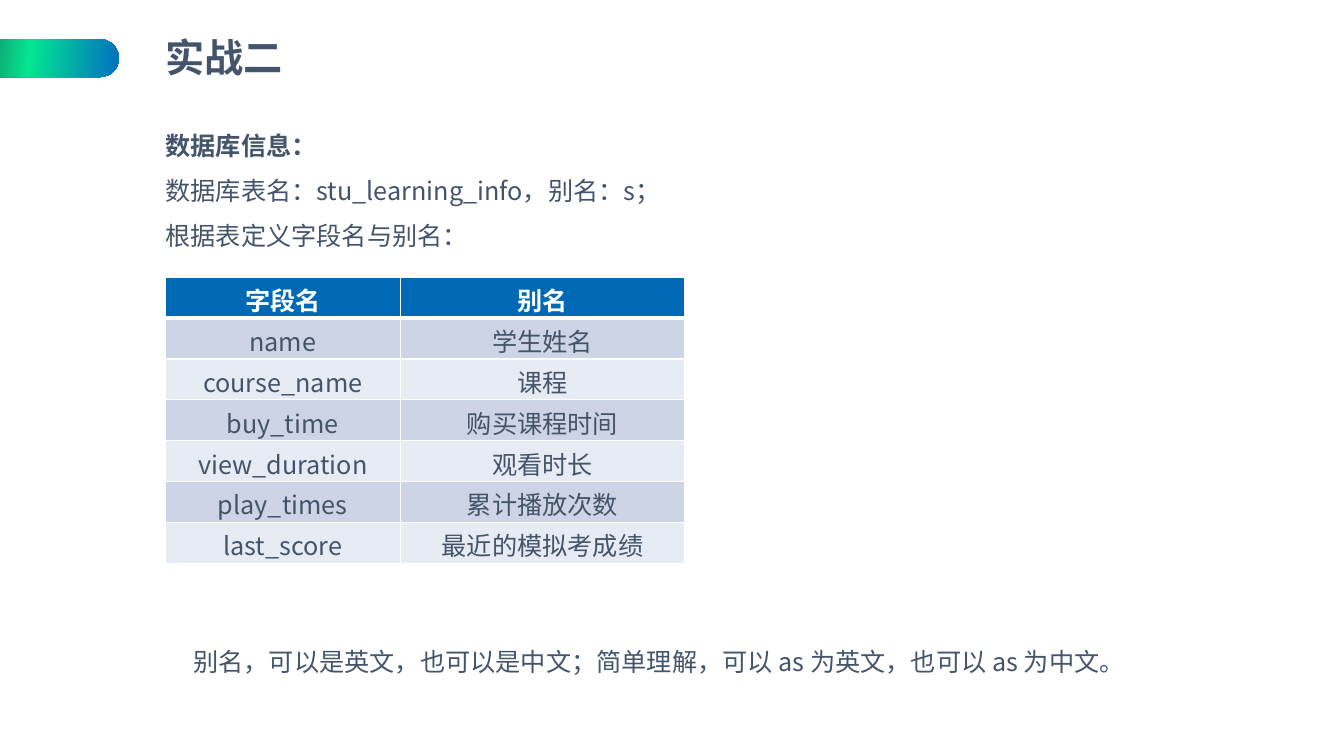
from copy import deepcopy
from dataclasses import dataclass

from pptx import Presentation
from pptx.dml.color import RGBColor
from pptx.enum.shapes import MSO_SHAPE
from pptx.enum.text import MSO_ANCHOR, MSO_AUTO_SIZE, PP_ALIGN
from pptx.oxml import parse_xml
from pptx.oxml.ns import nsdecls, qn
from pptx.util import Pt

ROUNDED = MSO_SHAPE.ROUNDED_RECTANGLE
LEFT, CENTER = PP_ALIGN.LEFT, PP_ALIGN.CENTER
TOP, MIDDLE = MSO_ANCHOR.TOP, MSO_ANCHOR.MIDDLE
GROW = MSO_AUTO_SIZE.SHAPE_TO_FIT_TEXT


@dataclass(frozen=True)
class Theme:
    font: str = "Noto Sans CJK SC"
    header_font: str = "Arial"
    text: str = "44546A"
    white: str = "FFFFFF"
    header: str = "0069B5"
    bands: tuple = ("CCD4E5", "E7EBF3")
    gradient: tuple = ((0, "272D3D"), (0.52, "03E790"), (1, "0070C0"))
    title_size: int = 28
    body_size: int = 18


THEME = Theme()

INFO = [
    ("数据库信息：", True),
    ("数据库表名：stu_learning_info，别名：s；", False),
    ("根据表定义字段名与别名：", False),
]
FIELDS = [
    ("字段名", "别名"),
    ("name", "学生姓名"),
    ("course_name", "课程"),
    ("buy_time", "购买课程时间"),
    ("view_duration", "观看时长"),
    ("play_times", "累计播放次数"),
    ("last_score", "最近的模拟考成绩"),
]
NOTE = "别名，可以是英文，也可以是中文；简单理解，可以 as 为英文，也可以 as 为中文。"


def rgb(value):
    return RGBColor.from_string(value)


def place(sp, left, top, width, height):
    sp.left, sp.top, sp.width, sp.height = Pt(left), Pt(top), Pt(width), Pt(height)


def add_run(p, text, size=THEME.body_size, bold=False, color=THEME.text, font=THEME.font):
    r = p.add_run()
    r.text = text
    r.font.size, r.font.bold, r.font.name = Pt(size), bold, font
    r.font.color.rgb = rgb(color)
    east_asian = r.font._element.makeelement(qn("a:ea"), {"typeface": THEME.font})
    r.font._element.find(qn("a:latin")).addnext(east_asian)


def add_pill(s):
    """Gradient tab that runs in from the left edge."""
    sp = s.shapes.add_shape(ROUNDED, Pt(-49), Pt(28), Pt(134), Pt(27))
    sp.shadow.inherit = False
    sp.adjustments[0] = 0.5
    sp.line.fill.background()
    sp.fill.gradient()
    sp.fill.gradient_angle = 355
    stops = sp._element.spPr.find(".//" + qn("a:gsLst"))
    stops.append(deepcopy(stops[0]))
    for stop, (position, color) in zip(sp.fill.gradient_stops, THEME.gradient):
        stop.position = position
        stop.color.rgb = rgb(color)


def fill_title(s, text):
    sp = s.shapes.title
    place(sp, 111, 24, 660, 38)
    tf = sp.text_frame
    tf.vertical_anchor, tf.auto_size = MIDDLE, GROW
    p = tf.paragraphs[0]
    p.alignment, p.line_spacing = LEFT, 0.9
    add_run(p, text, size=THEME.title_size, bold=True)


def fill_body(s, lines):
    sp = s.placeholders[1]
    place(sp, 111, 78.5, 731, 134.5)
    tf = sp.text_frame
    tf.vertical_anchor, tf.auto_size = TOP, GROW
    for i, (text, bold) in enumerate(lines):
        p = tf.add_paragraph() if i else tf.paragraphs[0]
        pPr = p._p.get_or_add_pPr()
        pPr.set("marL", "0")
        pPr.set("indent", "0")
        pPr.append(parse_xml(f"<a:buNone {nsdecls('a')}/>"))
        p.line_spacing, p.space_before = 1.5, Pt(0)
        add_run(p, text, bold=bold)


def set_borders(cell, **widths):
    tcPr = cell._tc.get_or_add_tcPr()
    for side in "LRTB":
        tcPr.append(parse_xml(
            f'<a:ln{side} {nsdecls("a")} w="{Pt(widths.get(side, 1))}"><a:solidFill>'
            f'<a:srgbClr val="{THEME.white}"/></a:solidFill></a:ln{side}>'))


def style_cell(cell, text, row):
    if row == 0:
        fill, borders = THEME.header, {"B": 3}
        style = {"bold": True, "color": THEME.white, "font": THEME.header_font}
    else:
        fill, borders = THEME.bands[(row - 1) % 2], {"T": 3} if row == 1 else {}
        style = {}
    set_borders(cell, **borders)
    cell.fill.solid()
    cell.fill.fore_color.rgb = rgb(fill)
    cell.margin_top, cell.margin_bottom = Pt(3), Pt(0)
    p = cell.text_frame.paragraphs[0]
    p.alignment = CENTER
    add_run(p, text, **style)


def add_field_table(s, rows):
    widths, row_height = (168, 203), 29.2
    table = s.shapes.add_table(len(rows), len(widths), Pt(118), Pt(198),
                               Pt(sum(widths)), Pt(row_height * len(rows))).table
    for column, width in zip(table.columns, widths):
        column.width = Pt(width)
    for i, values in enumerate(rows):
        table.rows[i].height = Pt(row_height)
        for j, text in enumerate(values):
            style_cell(table.cell(i, j), text, i)


def add_note(s, text):
    tf = s.shapes.add_textbox(Pt(131), Pt(458), Pt(691), Pt(29)).text_frame
    tf.word_wrap, tf.auto_size = False, GROW
    add_run(tf.paragraphs[0], text)


def main():
    prs = Presentation()
    prs.slide_width, prs.slide_height = Pt(960), Pt(540)
    s = prs.slides.add_slide(prs.slide_layouts[1])
    add_pill(s)
    fill_title(s, "实战二")
    fill_body(s, INFO)
    add_field_table(s, FIELDS)
    add_note(s, NOTE)
    prs.save("out.pptx")


if __name__ == "__main__":
    main()
